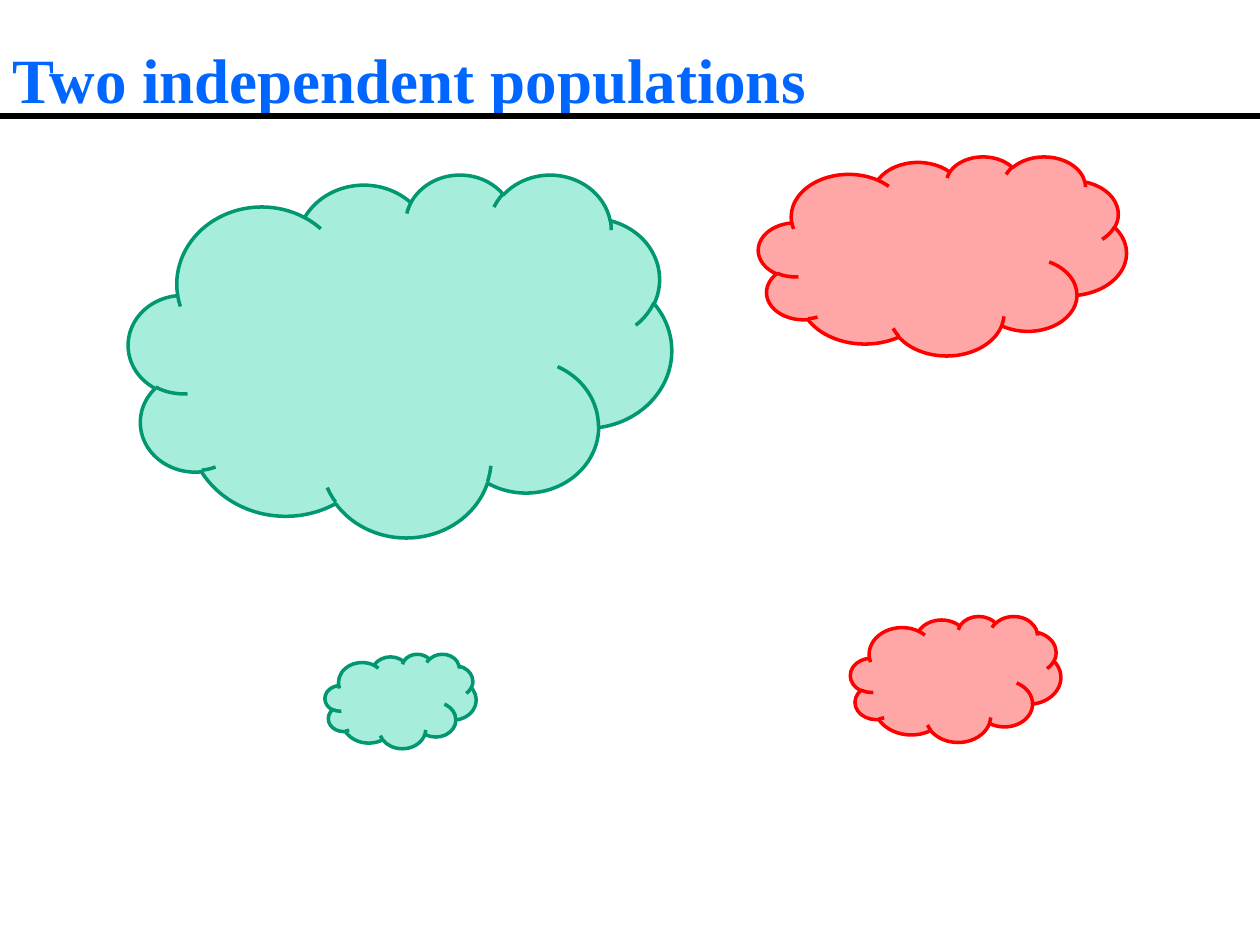
from dataclasses import dataclass

from lxml.etree import SubElement
from pptx import Presentation
from pptx.dml.color import RGBColor
from pptx.enum.shapes import MSO_CONNECTOR, MSO_SHAPE
from pptx.enum.text import MSO_ANCHOR
from pptx.oxml.ns import qn
from pptx.slide import Slide
from pptx.util import Pt

COLOURS = {
    "title": "0066FF",
    "rule": "000000",
    "green": "00CC99",
    "green outline": "009771",
    "red": "FF0000",
    "red outline": "FF0000",
}
TITLE_FORMAT = {"name": "Times New Roman", "size": Pt(36), "bold": True}
CLOUD_OPACITY = 35
PAGE_WIDTH, PAGE_HEIGHT = 720, 540
RULE_TOP = 66.24


@dataclass(frozen=True)
class Cloud:
    left: float
    top: float
    width: float
    height: float
    colour: str


CLOUDS = [
    Cloud(73.44, 99.36, 310.32, 207.36, "green"),
    Cloud(433.44, 89.28, 210.24, 113.76, "red"),
    Cloud(185.76, 373.68, 86.4, 54, "green"),
    Cloud(486, 352.08, 120.24, 72, "red"),
]


def colour(name: str) -> RGBColor:
    return RGBColor.from_string(COLOURS[name])


def add_title(page: Slide, text: str) -> None:
    box = page.shapes.add_textbox(Pt(0), Pt(0), Pt(642.24), Pt(90))
    frame = box.text_frame
    for name, value in {"word_wrap": True, "vertical_anchor": MSO_ANCHOR.MIDDLE}.items():
        setattr(frame, name, value)
    span = frame.paragraphs[0].add_run()
    span.text = text
    for name, value in TITLE_FORMAT.items():
        setattr(span.font, name, value)
    span.font.color.rgb = colour("title")


def add_rule(page: Slide) -> None:
    rule = page.shapes.add_connector(
        MSO_CONNECTOR.STRAIGHT, Pt(0), Pt(RULE_TOP), Pt(PAGE_WIDTH), Pt(RULE_TOP)
    )
    rule.line.color.rgb = colour("rule")
    rule.line.width = Pt(3)
    SubElement(rule._element.spPr, qn("a:effectLst"))


def add_cloud(page: Slide, cloud: Cloud) -> None:
    shape = page.shapes.add_shape(
        MSO_SHAPE.CLOUD, Pt(cloud.left), Pt(cloud.top), Pt(cloud.width), Pt(cloud.height)
    )
    shape.shadow.inherit = False
    shape.fill.solid()
    shape.fill.fore_color.rgb = colour(cloud.colour)
    fill_colour = shape._element.spPr.find(qn("a:solidFill")).find(qn("a:srgbClr"))
    SubElement(fill_colour, qn("a:alpha"), val=str(CLOUD_OPACITY * 1000))
    shape.line.color.rgb = colour(f"{cloud.colour} outline")
    shape.line.width = Pt(2)


def main() -> None:
    deck = Presentation()
    deck.slide_width, deck.slide_height = Pt(PAGE_WIDTH), Pt(PAGE_HEIGHT)
    page = deck.slides.add_slide(deck.slide_layouts[6])
    add_title(page, "Two independent populations")
    add_rule(page)
    for cloud in CLOUDS:
        add_cloud(page, cloud)
    deck.save("out.pptx")


if __name__ == "__main__":
    main()
